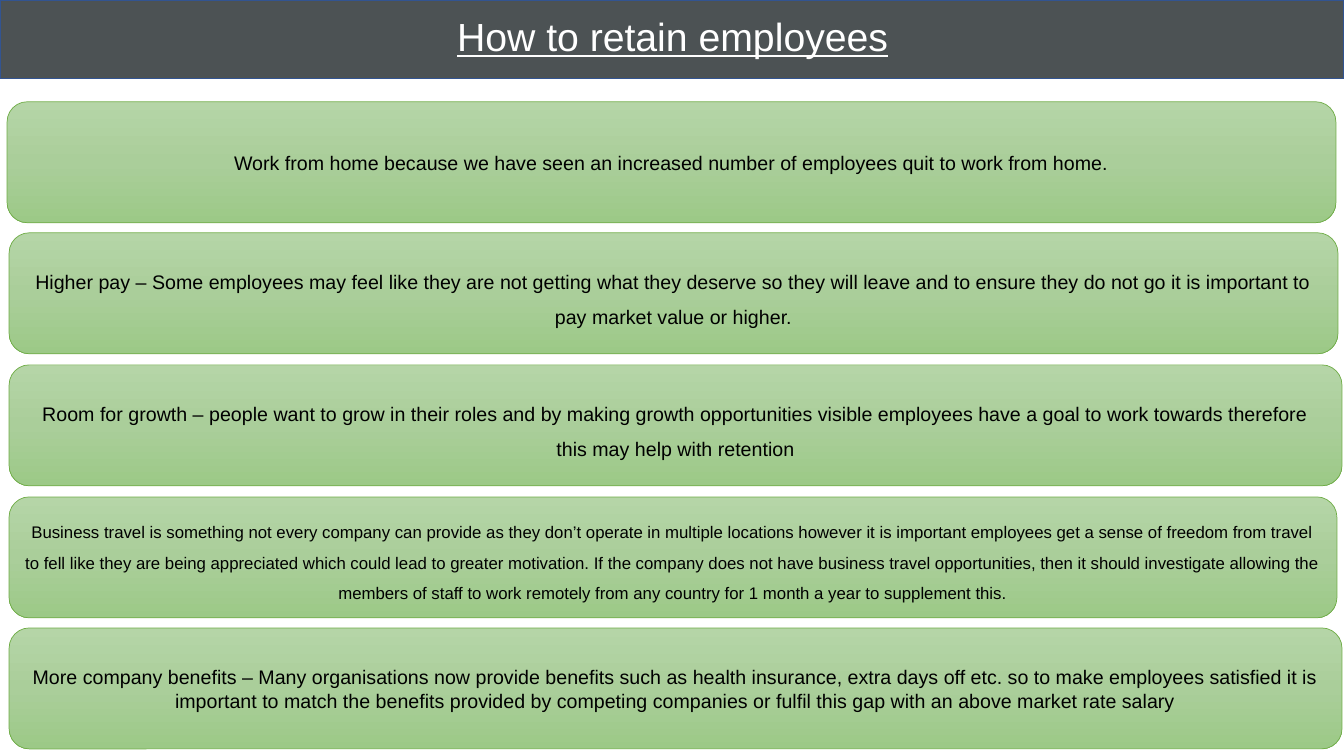
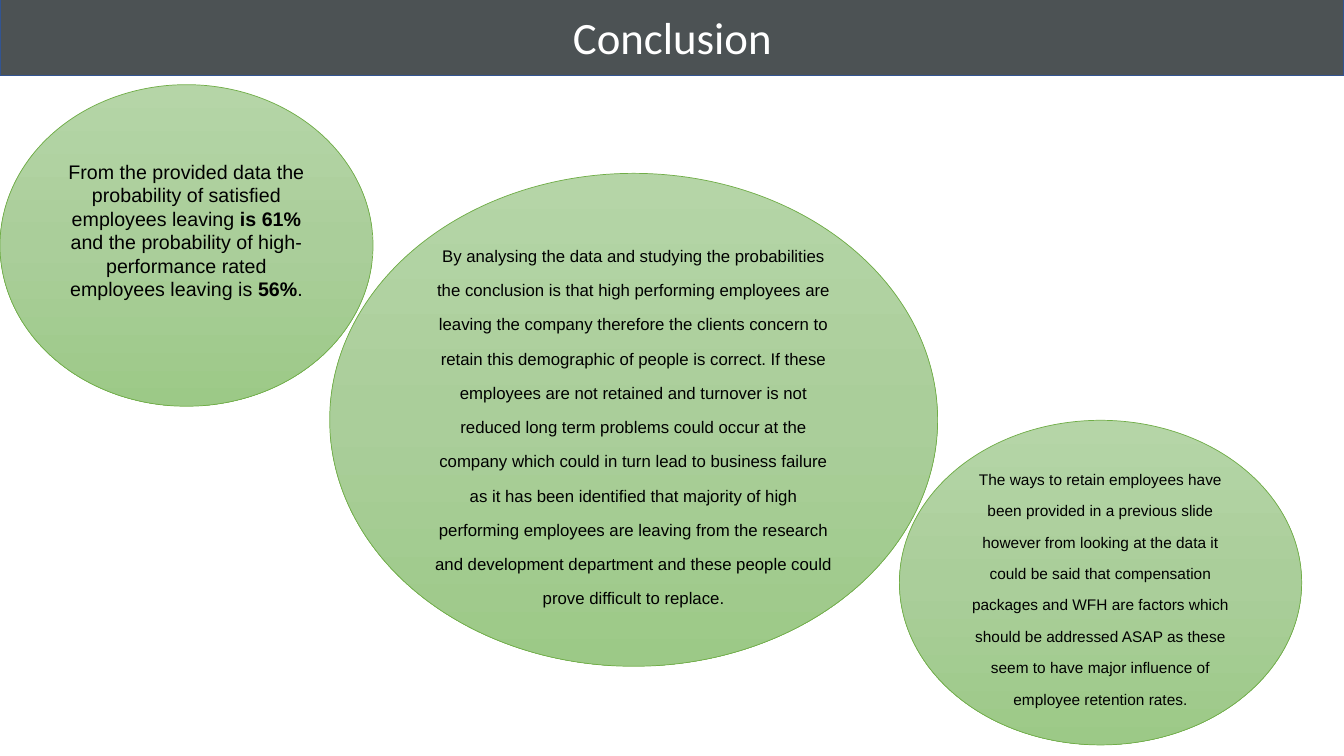
from copy import deepcopy

from pptx import Presentation
from pptx.dml.color import RGBColor
from pptx.enum.shapes import MSO_SHAPE as SHAPE
from pptx.enum.text import MSO_ANCHOR as ANCHOR, MSO_AUTO_SIZE as AUTO_SIZE, PP_ALIGN as ALIGN
from pptx.oxml.ns import qn
from pptx.util import Emu, Pt

PX = 9144  # 100 px to the inch
WIDTH, HEIGHT = 1333, 750
TITLE_ONLY = 5
BAND_FILL, BAND_LINE, BAND_HEIGHT = "4C5254", "325491", 78
GREEN_STOPS = ((0, "B5D5A7"), (0.5, "AACE9A"), (1, "9CC987"))
GREEN_LINE, BLACK, WHITE = "70AD47", "000000", "FFFFFF"
CARDS_TOP, CARD_HEIGHT, CARD_PITCH = 101, 120, 130.5

# left, width, text, format
CARDS = (
    (7, 1318, "Work from home because we have seen an increased number of employees "
     "quit to work from home.", {}),
    (9, 1318, "Higher pay – Some employees may feel like they are not getting what they "
     "deserve so they will leave and to ensure they do not go it is important to pay "
     "market value or higher.", {"spacing": 1.5}),
    (9, 1322, "Room for growth – people want to grow in their roles and by making growth "
     "opportunities visible employees have a goal to work towards therefore this may "
     "help with retention", {"spacing": 1.5}),
    (9, 1317, "Business travel is something not every company can provide as they don’t "
     "operate in multiple locations however it is important employees get a sense of "
     "freedom from travel to fell like they are being appreciated which could lead to "
     "greater motivation. If the company does not have business travel opportunities, "
     "then it should investigate allowing the members of staff to work remotely from any "
     "country for 1 month a year to supplement this.", {"size": 12, "spacing": 1.5}),
    (9, 1322, "More company benefits – Many organisations now provide benefits such as "
     "health insurance, extra days off etc. so to make employees satisfied it is "
     "important to match the benefits provided by competing companies or fulfil this gap "
     "with an above market rate salary", {}),
)

# box, text, format
BUBBLES = (
    ((0, 84, 370, 319),
     (("From the provided data the probability of satisfied employees leaving", False),
      (" is 61% ", True),
      ("and the probability of high-performance rated employees leaving is ", False),
      ("56%", True), (".", False)), {"bottom": 35}),
    ((327, 172, 603, 489),
     "By analysing the data and studying the probabilities the conclusion is that high "
     "performing employees are leaving the company therefore the clients concern to "
     "retain this demographic of people is correct. If these employees are not retained "
     "and turnover is not reduced long term problems could occur at the company which "
     "could in turn lead to business failure as it has been identified that majority of "
     "high performing employees are leaving from the research and development department "
     "and these people could prove difficult to replace.", {"size": 12, "spacing": 1.7}),
    ((892, 417, 399, 322),
     "The ways to retain employees have been provided in a previous slide however from "
     "looking at the data it could be said that compensation packages and WFH are factors "
     "which should be addressed ASAP as these seem to have major influence of employee "
     "retention rates.", {"size": 11, "spacing": 1.7}),
)


def px(n):
    return Emu(n * PX)


def color(value):
    return RGBColor.from_string(value)


def write_text(tf, text, size=14, font="Arial", fill=BLACK, underline=None,
               spacing=1.0, bottom=5):
    """Write one centred paragraph; text is a string or (string, bold) pairs."""
    tf.word_wrap = True
    tf.auto_size = AUTO_SIZE.NONE
    tf.vertical_anchor = ANCHOR.MIDDLE
    tf.margin_bottom = px(bottom)
    p = tf.paragraphs[0]
    p.alignment = ALIGN.CENTER
    p.line_spacing = spacing
    for part, bold in ((text, False),) if isinstance(text, str) else text:
        r = p.add_run()
        r.text = part
        r.font.size, r.font.name = Pt(size), font
        r.font.bold, r.font.underline = bold, underline
        r.font.color.rgb = color(fill)


def add_outlined(slide, kind, box, line, weight):
    sp = slide.shapes.add_shape(kind, *map(px, box))
    sp.shadow.inherit = False
    sp.line.color.rgb = color(line)
    sp.line.width = Pt(weight)
    return sp


def add_green(slide, kind, box, text, **fmt):
    sp = add_outlined(slide, kind, box, GREEN_LINE, 0.5)
    sp.fill.gradient()
    sp.fill.gradient_angle = 270
    first = next(sp.element.iter(qn("a:gs")))
    first.addnext(deepcopy(first))  # the default gradient has only two stops
    for stop, (position, value) in zip(sp.fill.gradient_stops, GREEN_STOPS):
        stop.position = position
        stop.color.rgb = color(value)
    write_text(sp.text_frame, text, **fmt)


def add_titled_slide(prs, text, band_top, title_top, title_height, **fmt):
    slide = prs.slides.add_slide(prs.slide_layouts[TITLE_ONLY])
    band = add_outlined(slide, SHAPE.RECTANGLE, (0, band_top, WIDTH, BAND_HEIGHT),
                        BAND_LINE, 1)
    band.fill.solid()
    band.fill.fore_color.rgb = color(BAND_FILL)
    title = slide.shapes.title
    title.element.addprevious(band.element)
    title.left, title.top = px(92), px(title_top)
    title.width, title.height = px(1150), px(title_height)
    write_text(title.text_frame, text, fill=WHITE, spacing=0.9, **fmt)
    return slide


def build_retention(prs):
    slide = add_titled_slide(prs, "How to retain employees", 0, 7, 63,
                             size=28, underline=True)
    for i, (left, width, text, fmt) in enumerate(CARDS):
        box = (left, CARDS_TOP + round(i * CARD_PITCH), width, CARD_HEIGHT)
        add_green(slide, SHAPE.ROUNDED_RECTANGLE, box, text, **fmt)


def build_conclusion(prs):
    slide = add_titled_slide(prs, "Conclusion", -3, 1, 78, size=32, font="Calibri")
    for box, text, fmt in BUBBLES:
        add_green(slide, SHAPE.OVAL, box, text, **fmt)


def main():
    prs = Presentation()
    prs.slide_width, prs.slide_height = px(WIDTH), px(HEIGHT)
    build_retention(prs)
    build_conclusion(prs)
    prs.save("out.pptx")


if __name__ == "__main__":
    main()
